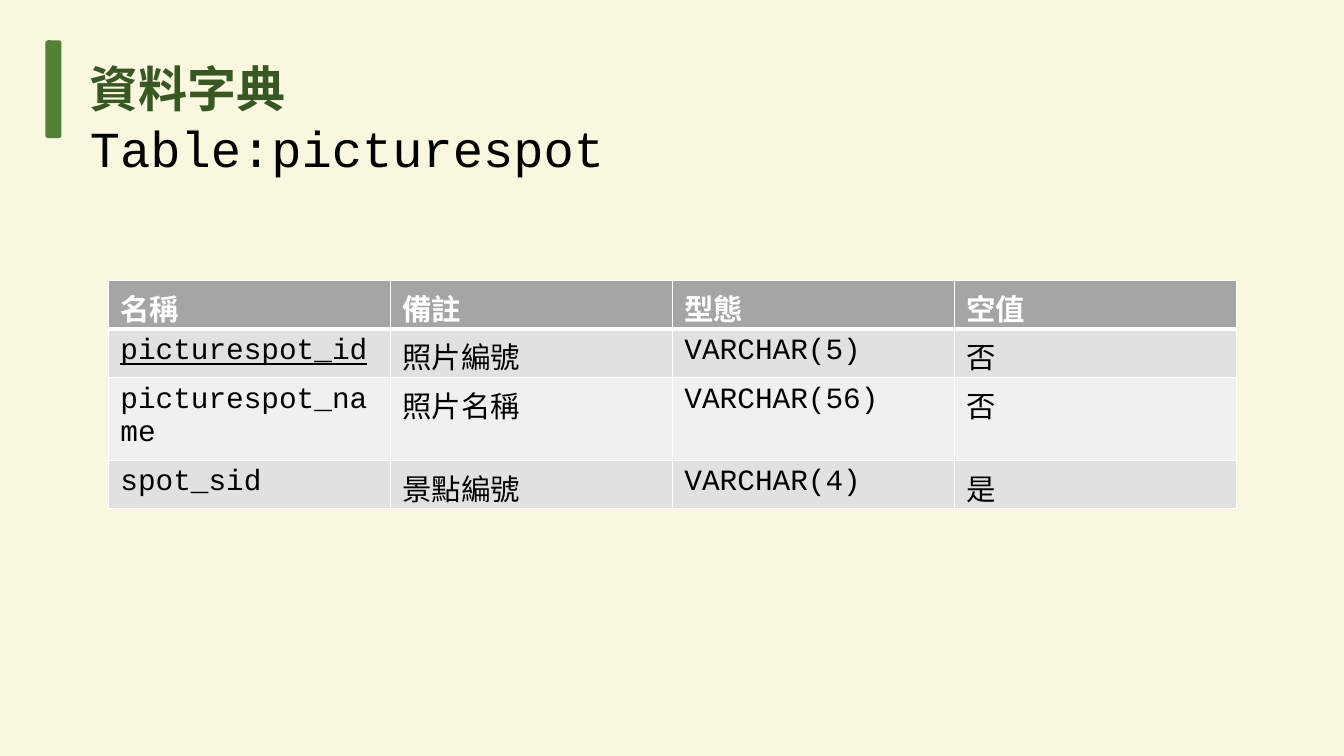
from dataclasses import dataclass

from lxml.etree import SubElement
from pptx import Presentation
from pptx.dml.color import RGBColor
from pptx.enum.shapes import MSO_SHAPE as Shape
from pptx.enum.text import MSO_ANCHOR as Anchor, MSO_AUTO_SIZE as AutoSize, PP_ALIGN as Align
from pptx.oxml.ns import qn
from pptx.util import Inches, Pt

CREAM = RGBColor(0xF9, 0xF7, 0xDF)
DARK_GREEN = RGBColor(0x38, 0x57, 0x23)
GREEN = RGBColor(0x54, 0x82, 0x35)
BLACK = RGBColor(0, 0, 0)
WHITE = RGBColor(0xFF, 0xFF, 0xFF)
HEADER_GREY = RGBColor(0xA5, 0xA5, 0xA5)
BAND_GREYS = (RGBColor(0xE1, 0xE1, 0xE1), RGBColor(0xF0, 0xF0, 0xF0))

FIELDS = [
    ("名稱", "備註", "型態", "空值"),
    ("picturespot_id", "照片編號", "VARCHAR(5)", "否"),
    ("picturespot_name", "照片名稱", "VARCHAR(56)", "否"),
    ("spot_sid", "景點編號", "VARCHAR(4)", "是"),
]
PRIMARY_KEY = "picturespot_id"


def write(para, text, font="Courier New", size=21, color=BLACK, bold=False, underline=False):
    span = para.add_run()
    span.text = text
    span.font.name = font
    span.font.size = Pt(size)
    span.font.color.rgb = color
    span.font.bold = bold
    span.font.underline = underline


def border(cell, **widths):
    properties = cell._tc.get_or_add_tcPr()
    for side, width in widths.items():
        line = SubElement(properties, qn(f"a:ln{side}"), w=str(Pt(width)))
        fill = SubElement(line, qn("a:solidFill"))
        SubElement(fill, qn("a:srgbClr"), val=str(WHITE))


@dataclass
class DictionaryPage:
    """Draws data dictionary elements on a page, measured in percent of its size."""
    deck: object
    page: object

    def area(self, left, top, width, height):
        across, down = self.deck.slide_width / 100, self.deck.slide_height / 100
        return int(left * across), int(top * down), int(width * across), int(height * down)

    def background(self, color):
        fill = self.page.background.fill
        fill.solid()
        fill.fore_color.rgb = color

    def title(self, heading, subheading, *place):
        box = self.page.shapes.title
        box.left, box.top, box.width, box.height = self.area(*place)
        frame = box.text_frame
        frame.word_wrap = True
        frame.auto_size = AutoSize.SHAPE_TO_FIT_TEXT
        frame.vertical_anchor = Anchor.TOP
        para = frame.paragraphs[0]
        para.alignment = Align.LEFT
        write(para, heading, size=35, color=DARK_GREEN, bold=True)
        para.add_line_break()
        write(para, subheading, size=36)

    def table(self, rows, *place):
        table = self.page.shapes.add_table(len(rows), len(rows[0]), *self.area(*place)).table
        for row_index, row in enumerate(rows):
            header = row_index == 0
            shade = HEADER_GREY if header else BAND_GREYS[(row_index - 1) % 2]
            for column_index, text in enumerate(row):
                cell = table.cell(row_index, column_index)
                cell.margin_left = cell.margin_right = Inches(0.12)
                cell.margin_top = cell.margin_bottom = Inches(0.06)
                border(cell, L=1, R=1, T=3 if row_index == 1 else 1, B=3 if header else 1)
                cell.fill.solid()
                cell.fill.fore_color.rgb = shade
                write(cell.text_frame.paragraphs[0], text, bold=header,
                      color=WHITE if header else BLACK, underline=text == PRIMARY_KEY)

    def bar(self, color, *place):
        bar = self.page.shapes.add_shape(Shape.ROUNDED_RECTANGLE, *self.area(*place))
        bar.shadow.inherit = False
        bar.fill.solid()
        bar.fill.fore_color.rgb = color
        bar.line.fill.background()


def main():
    deck = Presentation()
    deck.slide_width, deck.slide_height = Inches(13.33), Inches(7.5)
    page = DictionaryPage(deck, deck.slides.add_slide(deck.slide_layouts[5]))
    page.background(CREAM)
    page.title("資料字典", "Table:picturespot", 5.93, 7.07, 61.5, 9.47)
    page.table(FIELDS, 8.06, 37.07, 83.95, 25.73)
    page.bar(GREEN, 3.38, 5.33, 1.2, 12.93)
    deck.save("out.pptx")


if __name__ == "__main__":
    main()
